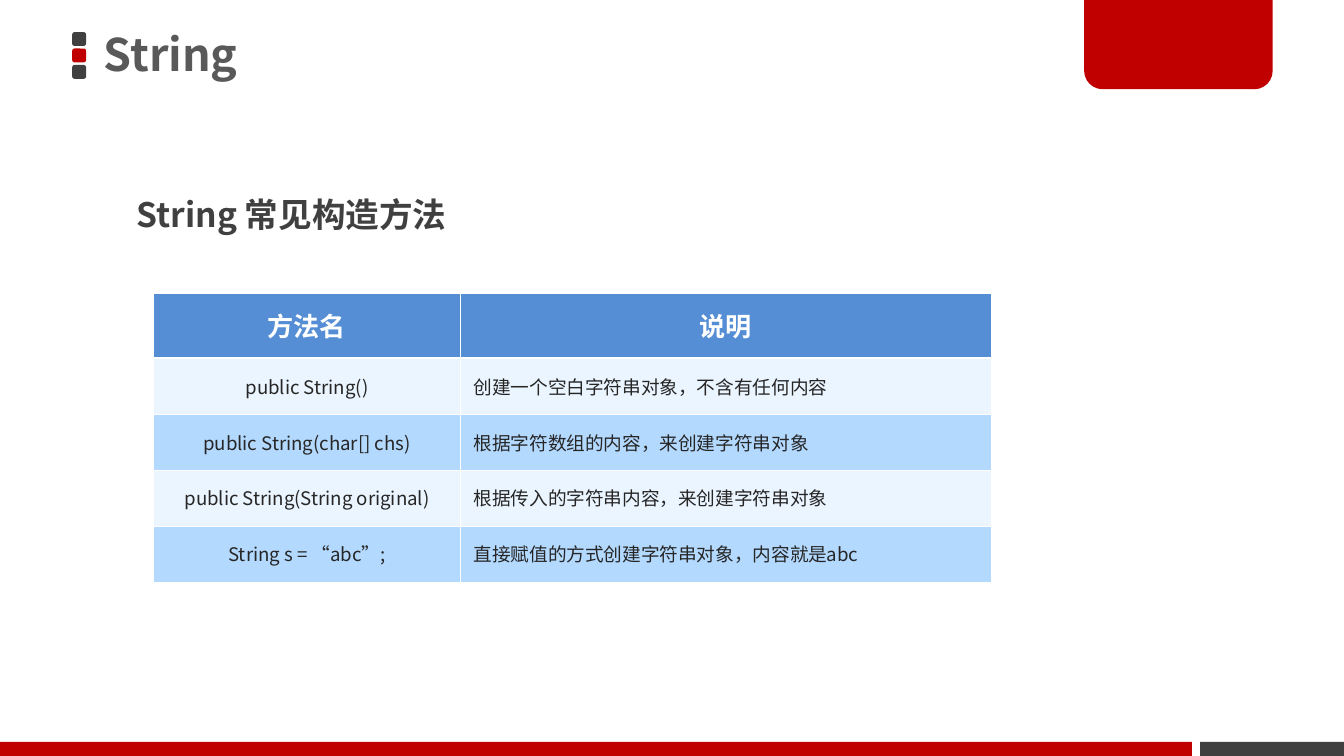
from lxml.etree import SubElement
from pptx import Presentation
from pptx.dml.color import RGBColor
from pptx.enum.shapes import MSO_SHAPE
from pptx.enum.text import MSO_ANCHOR, MSO_AUTO_SIZE, PP_ALIGN
from pptx.oxml.ns import qn
from pptx.util import Pt

METHODS = [
    ("public String()", "创建一个空白字符串对象，不含有任何内容"),
    ("public String(char[] chs)", "根据字符数组的内容，来创建字符串对象"),
    ("public String(String original)", "根据传入的字符串内容，来创建字符串对象"),
    ("String s = “abc”;", "直接赋值的方式创建字符串对象，内容就是abc"),
]


def color(value):
    return RGBColor.from_string(value)


class SlideBuilder:
    font_name = "Noto Sans CJK SC"
    red = "C00000"
    dark = "404040"
    white = "FFFFFF"
    header_fill = "558ED5"
    band_fills = ("EBF5FF", "B3D9FF")

    def __init__(self, slide):
        self.slide = slide

    def style_text(self, text_frame, text, size, text_color, bold=False,
                   align=PP_ALIGN.LEFT, line_spacing=1.0):
        text_frame.text = text
        paragraph = text_frame.paragraphs[0]
        paragraph.alignment = align
        paragraph.line_spacing = line_spacing
        for run in paragraph.runs:
            run.font.size = Pt(size)
            run.font.bold = bold
            run.font.name = self.font_name
            run.font.color.rgb = color(text_color)
            east_asian = SubElement(run.font._element, qn("a:ea"))
            east_asian.set("typeface", self.font_name)

    def block(self, kind, left, top, width, height, fill):
        shape = self.slide.shapes.add_shape(kind, Pt(left), Pt(top), Pt(width), Pt(height))
        shape.shadow.inherit = False
        shape.fill.solid()
        shape.fill.fore_color.rgb = color(fill)
        shape.line.fill.background()
        return shape

    def title(self, text, left, top, width, height):
        title = self.slide.shapes.title
        title.left, title.top = Pt(left), Pt(top)
        title.width, title.height = Pt(width), Pt(height)
        frame = title.text_frame
        frame.word_wrap = True
        frame.auto_size = MSO_AUTO_SIZE.NONE
        frame.vertical_anchor = MSO_ANCHOR.MIDDLE
        frame.margin_left = frame.margin_right = Pt(5.8)
        frame.margin_top = frame.margin_bottom = Pt(2.9)
        self.style_text(frame, text, 24, "595959", bold=True, line_spacing=0.9)

    def heading(self, text, left, top, width, height):
        box = self.slide.shapes.add_textbox(Pt(left), Pt(top), Pt(width), Pt(height))
        box.text_frame.word_wrap = True
        self.style_text(box.text_frame, text, 18, self.dark, bold=True, line_spacing=1.5)

    def borders(self, cell, top, bottom):
        properties = cell._tc.get_or_add_tcPr()
        for side, width in (("L", 0.45), ("R", 0.45), ("T", top), ("B", bottom)):
            line = SubElement(properties, qn(f"a:ln{side}"), w=str(Pt(width)))
            fill = SubElement(line, qn("a:solidFill"))
            SubElement(fill, qn("a:srgbClr"), val=self.white)

    def cell(self, cell, fill, top=0.45, bottom=0.45):
        self.borders(cell, top, bottom)
        cell.fill.solid()
        cell.fill.fore_color.rgb = color(fill)

    def table(self, headers, records, left, top, column_widths, header_height, row_height):
        heights = [header_height] + [row_height] * len(records)
        frame = self.slide.shapes.add_table(
            len(heights), len(headers), Pt(left), Pt(top),
            Pt(sum(column_widths)), Pt(sum(heights)))
        table = frame.table
        for column, width in zip(table.columns, column_widths):
            column.width = Pt(width)
        for row, height in zip(table.rows, heights):
            row.height = Pt(height)
        for cell, text in zip(table.rows[0].cells, headers):
            self.cell(cell, self.header_fill, bottom=1.47)
            self.style_text(cell.text_frame, text, 14, self.white, bold=True,
                            align=PP_ALIGN.CENTER, line_spacing=Pt(24))
        aligns = (PP_ALIGN.CENTER, PP_ALIGN.LEFT)
        for index, record in enumerate(records):
            top_border = 0.45 if index else 1.47
            for cell, text, align in zip(table.rows[index + 1].cells, record, aligns):
                self.cell(cell, self.band_fills[index % 2], top=top_border)
                cell.vertical_anchor = MSO_ANCHOR.MIDDLE
                self.style_text(cell.text_frame, text, 10, "262626", align=align)


def main():
    presentation = Presentation()
    presentation.slide_width = Pt(720)
    presentation.slide_height = Pt(405)
    builder = SlideBuilder(presentation.slides.add_slide(presentation.slide_layouts[5]))

    for index, fill in enumerate((builder.dark, builder.red, builder.dark)):
        builder.block(MSO_SHAPE.ROUNDED_RECTANGLE, 38.7, 17.2 + 8.8 * index, 7.4, 7.4, fill)

    builder.block(MSO_SHAPE.RECTANGLE, 643, 397.5, 77, 7.5, builder.dark)
    builder.block(MSO_SHAPE.RECTANGLE, 0, 397.5, 638.6, 7.5, builder.red)
    corner_tab = builder.block(MSO_SHAPE.ROUND_2_SAME_RECTANGLE, 580.8, -1.5, 101, 49.3, builder.red)
    corner_tab.rotation = 180
    corner_tab.adjustments[0] = 0.2

    builder.title("String", 49.7, -1.5, 424, 64)
    builder.heading("String 常见构造方法", 66.2, 89.3, 276.5, 39.6)
    builder.table(("方法名", "说明"), METHODS, 82.3, 157, (164.3, 284.4), 34.8, 30)

    presentation.save("out.pptx")


if __name__ == "__main__":
    main()
